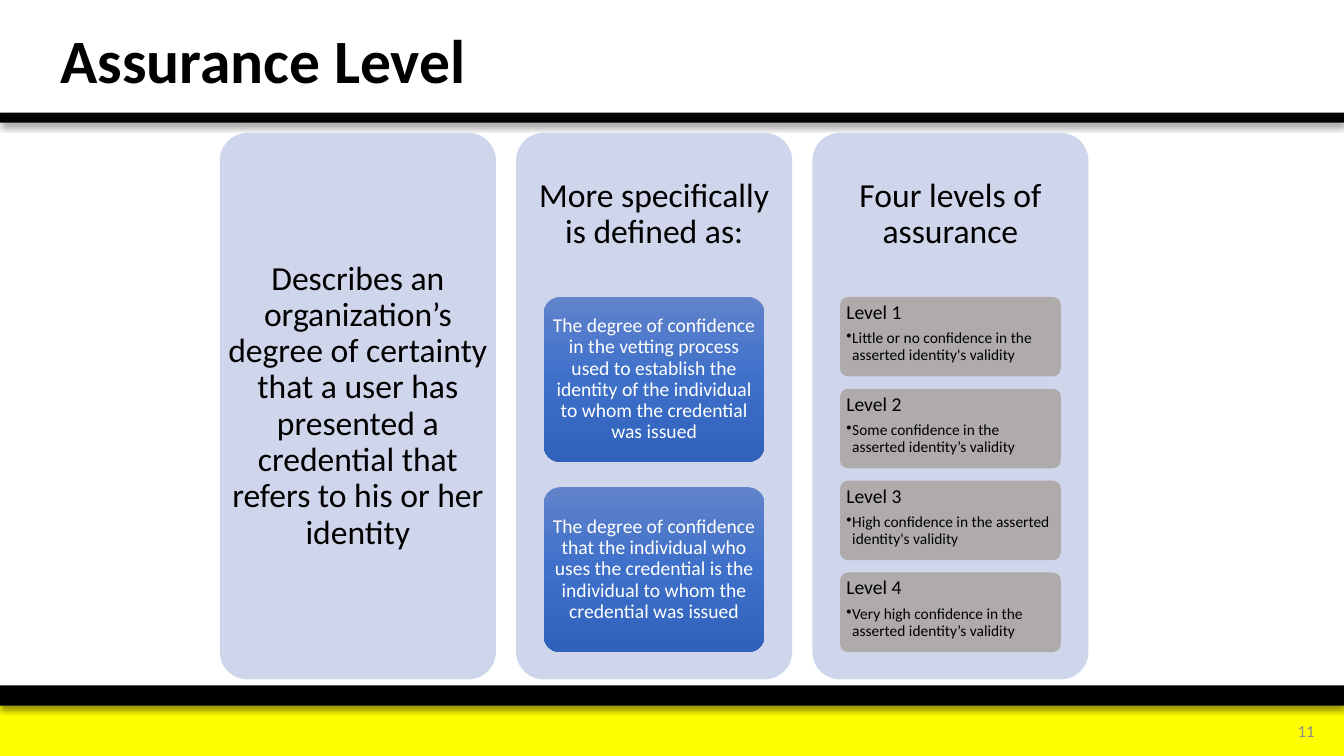
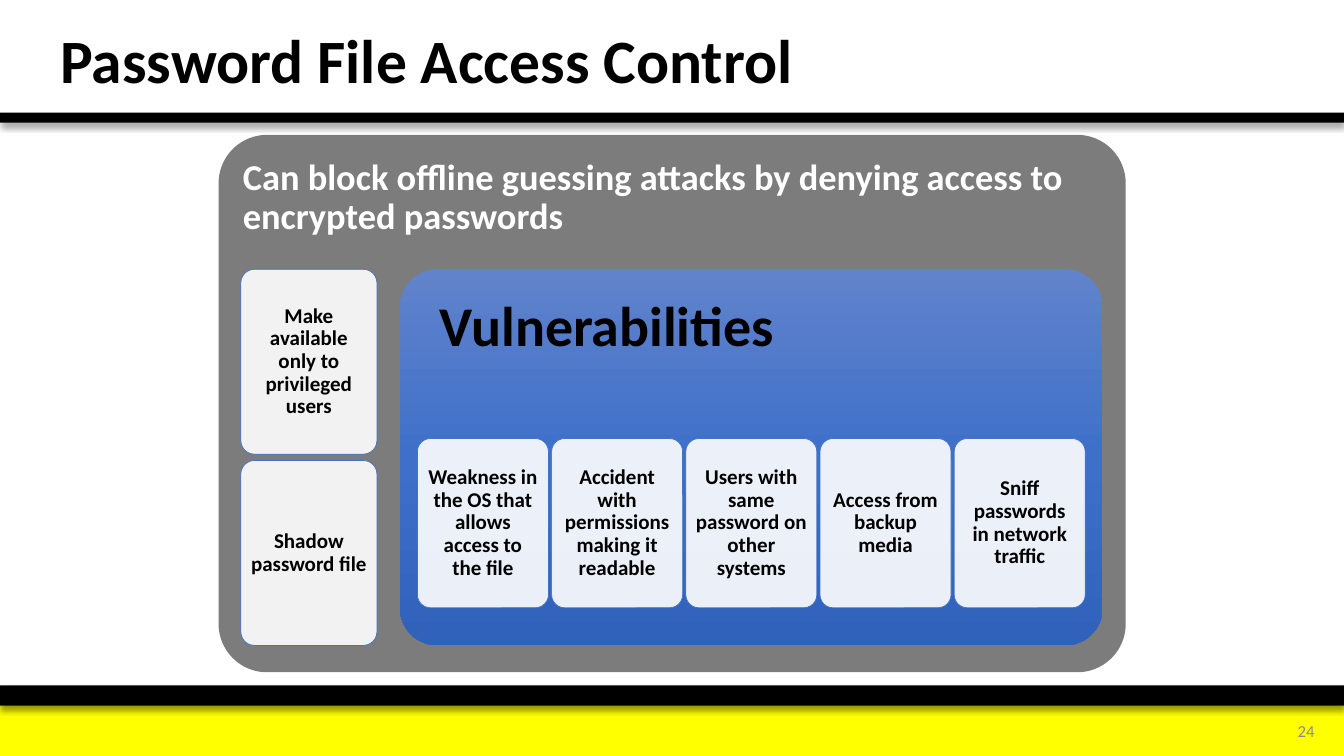
from lxml.etree import SubElement
from pptx import Presentation
from pptx.dml.color import RGBColor
from pptx.enum.shapes import MSO_SHAPE
from pptx.enum.text import MSO_ANCHOR, MSO_AUTO_SIZE, PP_ALIGN
from pptx.oxml import parse_xml
from pptx.oxml.ns import nsdecls, qn
from pptx.util import Cm, Pt

BLACK = RGBColor(0x00, 0x00, 0x00)
WHITE = RGBColor(0xFF, 0xFF, 0xFF)
YELLOW = RGBColor(0xFF, 0xFF, 0x00)
GREY = RGBColor(0x8C, 0x8C, 0x8C)
SLATE = RGBColor(0x7C, 0x7C, 0x7C)
STONE = RGBColor(0xAF, 0xAB, 0xAB)
PALE = RGBColor(0xCF, 0xD5, 0xEA)
BLUE = RGBColor(0x44, 0x72, 0xC4)
BLEND = (
    (0, RGBColor(0x61, 0x83, 0xCB)),
    (50, RGBColor(0x3E, 0x70, 0xCA)),
    (100, RGBColor(0x30, 0x62, 0xBB)),
)
FONT = "Calibri"
WIDE, HIGH = 33.87, 19.05
LEFT, MID = PP_ALIGN.LEFT, PP_ALIGN.CENTER
TOP, CORE = MSO_ANCHOR.TOP, MSO_ANCHOR.MIDDLE

CARDS = (5.54, 3.35, 21.89, 13.77)
PANEL = (5.51, 3.4, 22.86, 13.54)
CLAIM = (
    "Describes an organization’s degree of certainty that a user has "
    "presented a credential that refers to his or her identity"
)
TERMS = (
    "The degree of confidence in the vetting process used to establish the "
    "identity of the individual to whom the credential was issued",
    "The degree of confidence that the individual who uses the credential is "
    "the individual to whom the credential was issued",
)
LEVELS = (
    "Little or no confidence in the asserted identity's validity",
    "Some confidence in the asserted identity’s validity",
    "High confidence in the asserted identity's validity",
    "Very high confidence in the asserted identity’s validity",
)
BLOCK = "Can block offline guessing attacks by denying access to encrypted passwords"
GUARDS = ("Make available only to privileged users", "Shadow password file")
RISKS = (
    "Weakness in the OS that allows access to the file",
    "Accident with permissions making it readable",
    "Users with same password on other systems",
    "Access from backup media",
    "Sniff passwords in network traffic",
)


def apply(item, values):
    """Set each named value on the item."""
    for name, value in values.items():
        setattr(item, name, value)


def place(item, box):
    """Move and size an item to a box in centimetres."""
    names = ("left", "top", "width", "height")
    apply(item, dict(zip(names, map(Cm, box))))


def split(box, count, gap, across=False):
    """Cut a box into equal parts, side by side or stacked."""
    x, y, w, h = box
    size = ((w if across else h) - gap * (count - 1)) / count
    steps = [i * (size + gap) for i in range(count)]
    if across:
        return [(x + step, y, size, h) for step in steps]
    return [(x, y + step, w, size) for step in steps]


def write(item, paras, inset, color=BLACK, align=MID, anchor=CORE, bold=False):
    """Fill an item with paragraphs given as text, size and bullet."""
    frame = item.text_frame
    sides = ("margin_left", "margin_top", "margin_right", "margin_bottom")
    apply(frame, dict(zip(sides, map(Cm, inset))))
    apply(frame, {"auto_size": MSO_AUTO_SIZE.NONE, "word_wrap": True,
                  "vertical_anchor": anchor})
    for i, (text, size, dot) in enumerate(paras):
        para = frame.add_paragraph() if i else frame.paragraphs[0]
        after = Pt(5) if i < len(paras) - 1 else Pt(0)
        apply(para, {"alignment": align, "line_spacing": 0.9,
                     "space_before": Pt(0), "space_after": after})
        props = para._p.get_or_add_pPr()
        dent = Cm(0.15) if dot else 0
        props.set("marL", str(dent))
        props.set("indent", str(-dent))
        mark = SubElement(props, qn("a:buChar" if dot else "a:buNone"))
        if dot:
            mark.set("char", "•")
        run = para.add_run()
        run.text = text
        apply(run.font, {"name": FONT, "size": Pt(size), "bold": bold})
        run.font.color.rgb = color


def shape(slide, box, fill, curve=None, line=None, clear=None):
    """Draw a plain or rounded box with a solid or blended fill."""
    kind = MSO_SHAPE.RECTANGLE if curve is None else MSO_SHAPE.ROUNDED_RECTANGLE
    item = slide.shapes.add_shape(kind, *map(Cm, box))
    item.shadow.inherit = False
    if curve is not None:
        item.adjustments[0] = curve
    if fill is BLEND:
        stops = "".join(
            f'<a:gs pos="{spot * 1000}"><a:srgbClr val="{tone}"/></a:gs>'
            for spot, tone in BLEND)
        item._element.spPr.find(qn("a:prstGeom")).addnext(parse_xml(
            f'<a:gradFill {nsdecls("a")} rotWithShape="1"><a:gsLst>{stops}'
            '</a:gsLst><a:lin ang="5400000" scaled="0"/></a:gradFill>'))
    else:
        item.fill.solid()
        item.fill.fore_color.rgb = fill
    if clear:
        tone = item._element.spPr.find(qn("a:solidFill"))[0]
        SubElement(tone, qn("a:alpha")).set("val", str(clear * 1000))
    if line is None:
        item.line.fill.background()
    else:
        item.line.color.rgb = line
        item.line.width = Pt(0.5)
    return item


def shade(item):
    """Cast a soft shadow below an item."""
    cast = item._element.spPr.find(qn("a:effectLst"))
    cast.append(parse_xml(
        f'<a:outerShdw {nsdecls("a")} blurRad="{Pt(4)}" dist="{Pt(3)}" '
        'dir="5400000" algn="t" rotWithShape="0"><a:srgbClr val="000000">'
        '<a:alpha val="40000"/></a:srgbClr></a:outerShdw>'))


def label(slide, box, text, size, inset, **style):
    """Add a text box with one paragraph."""
    item = slide.shapes.add_textbox(*map(Cm, box))
    write(item, [(text, size, False)], inset, **style)


def body(slide, box, text, size, inset, **style):
    """Place the body text above the shapes drawn so far."""
    item = slide.placeholders[1]
    place(item, box)
    write(item, [(text, size, False)], inset, **style)
    slide.shapes._spTree.append(item._element)


def start(deck, title, number):
    """Add a slide with bands, title and page number."""
    slide = deck.slides.add_slide(deck.slide_layouts[1])
    shape(slide, (0, 17.78, WIDE, 1.27), YELLOW)
    for y, h in ((17.27, 0.51), (2.84, 0.25)):
        shade(shape(slide, (0, y, WIDE, h), BLACK))
    pad = (0.25, 0.13, 0.25, 0.13)
    label(slide, (31.45, 17.93, 1.93, 1.02), number, 12, pad,
          color=GREY, align=PP_ALIGN.RIGHT)
    place(slide.shapes.title, (1.27, 0.18, 25.7, 2.84))
    write(slide.shapes.title, [(title, 44, False)], pad, align=LEFT, bold=True)
    return slide


def card(slide, box, head):
    """Draw a headed card and return the box left for its parts."""
    x, y, w, h = box
    shape(slide, box, PALE, 0.1)
    top = h * 0.3
    label(slide, (x, y, w, top), head, 24, (0.25,) * 4)
    return x + w * 0.1, y + top, w * 0.8, h * 0.65


def terms(slide, box):
    """Stack the two blue meanings."""
    for text, part in zip(TERMS, split(box, 2, 0.64)):
        item = shape(slide, part, BLEND, 0.1)
        write(item, [(text, 14, False)], (0.1, 0.08, 0.1, 0.08), WHITE)


def levels(slide, box):
    """Stack the four grey levels with their notes."""
    for i, part in enumerate(split(box, 4, 0.31)):
        item = shape(slide, part, STONE, 0.1)
        paras = [(f"Level {i + 1}", 14, False), (LEVELS[i], 11, True)]
        write(item, paras, (0.1, 0.08, 0.1, 0.08), align=LEFT, anchor=TOP)


def tiles(slide, boxes, texts):
    """Draw a light tile for each text."""
    for part, text in zip(boxes, texts):
        item = shape(slide, part, WHITE, 0.1, BLUE, 90)
        write(item, [(text, 15, False)], (0.15,) * 4, bold=True)


def risks(slide, box):
    """Draw the blue box with its row of tiles."""
    x, y, w, h = box
    item = shape(slide, box, BLEND, 0.1)
    write(item, [("Vulnerabilities", 40, False)], (0.73, 0.45, 0.43, 0.43),
          align=LEFT, anchor=TOP, bold=True)
    row = (x + 0.44, y + h * 0.45, w - 0.88, h * 0.45)
    tiles(slide, split(row, 5, 0.08, True), RISKS)


def trust(deck, box):
    """Build the slide of three cards."""
    slide = start(deck, "Assurance Level", "11")
    first, second, third = split(box, 3, 0.51, True)
    shape(slide, first, PALE, 0.1)
    body(slide, first, CLAIM, 24, (0.15,) * 4)
    terms(slide, card(slide, second, "More specifically is defined as:"))
    levels(slide, card(slide, third, "Four levels of assurance"))


def access(deck, box):
    """Build the slide of the nested panel."""
    slide = start(deck, "Password File Access Control", "24")
    x, y, w, h = box
    shape(slide, box, SLATE, 0.09)
    body(slide, (x, y, w, h * 0.25), BLOCK, 26, (0.61,) * 4,
         color=WHITE, align=LEFT, anchor=TOP, bold=True)
    top, tall = y + h * 0.25, h * 0.7
    tiles(slide, split((x + 0.56, top, 3.43, tall), 2, 0.16), GUARDS)
    risks(slide, (x + 4.57, top, w - 5.15, tall))


def main():
    """Build and save the deck."""
    deck = Presentation()
    apply(deck, {"slide_width": Cm(WIDE), "slide_height": Cm(HIGH)})
    trust(deck, CARDS)
    access(deck, PANEL)
    deck.save("out.pptx")


if __name__ == "__main__":
    main()
